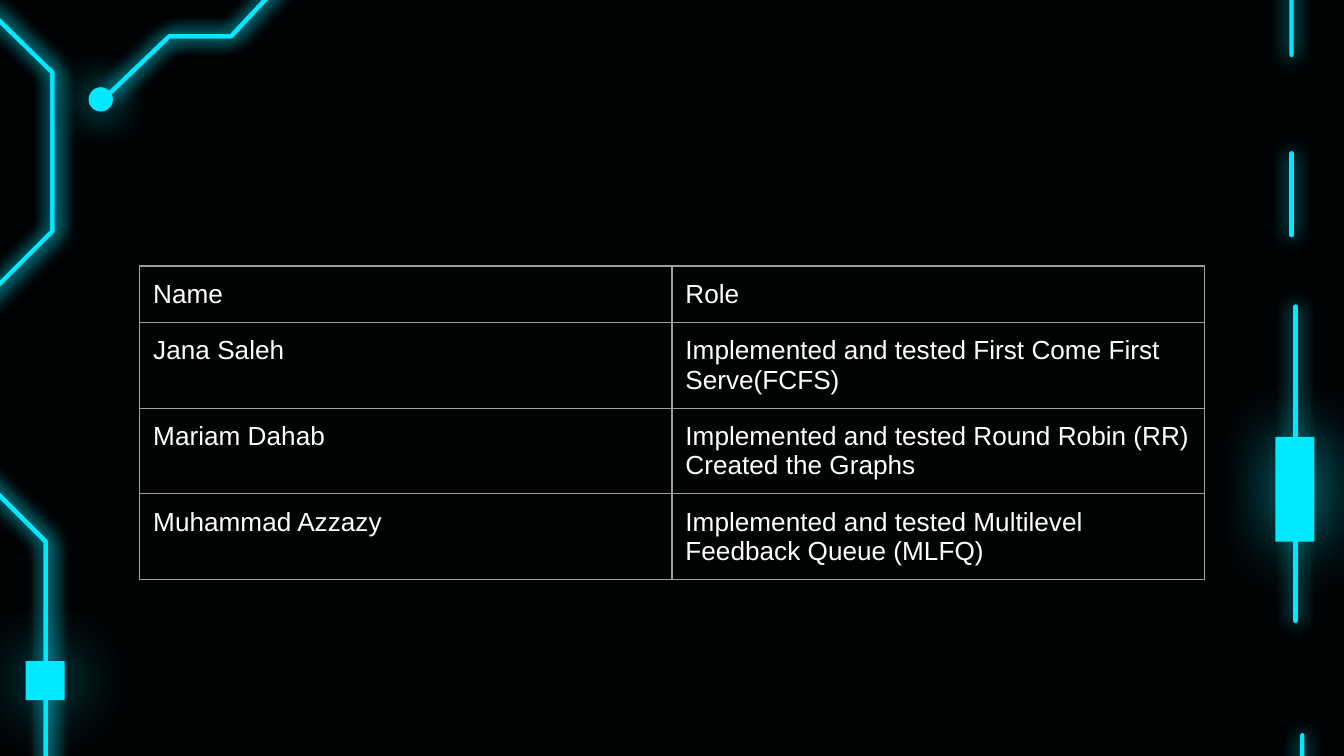
"""Build a dark slide with neon circuit lines and a table of team roles."""
from dataclasses import dataclass

from lxml import etree
from pptx import Presentation
from pptx.dml.color import RGBColor
from pptx.enum.shapes import MSO_CONNECTOR, MSO_SHAPE
from pptx.oxml import parse_xml
from pptx.oxml.ns import nsdecls, qn
from pptx.util import Inches, Pt

RECTANGLE = MSO_SHAPE.RECTANGLE
OVAL = MSO_SHAPE.OVAL
STRAIGHT = MSO_CONNECTOR.STRAIGHT


@dataclass(frozen=True)
class Theme:
    background: str = "000304"
    neon: str = "00E9FF"
    text: str = "FFFFFF"
    border: str = "9E9E9E"
    font: str = "Arial"
    text_size: float = 14
    trace_width: float = 2.25
    dot_width: float = 1.5
    border_width: float = 0.75


THEME = Theme()
NEON = RGBColor.from_string(THEME.neon)


def add_glow(shape, blur, distance=0, opacity=100):
    shape._element.spPr.append(parse_xml(
        f'<a:effectLst {nsdecls("a")}><a:outerShdw blurRad="{Pt(blur)}" '
        f'dist="{Pt(distance)}" dir="0" algn="bl" rotWithShape="0">'
        f'<a:srgbClr val="{THEME.neon}"><a:alpha val="{opacity * 1000}"/></a:srgbClr>'
        '</a:outerShdw></a:effectLst>'))


def style_trace(shape, distance=0):
    shape.line.color.rgb = NEON
    shape.line.width = Pt(THEME.trace_width)
    line = shape.line._get_or_add_ln()
    line.set("cap", "rnd")
    etree.SubElement(line, qn("a:round"))
    add_glow(shape, 10.1, distance)


presentation = Presentation()
presentation.slide_width = Inches(10)
presentation.slide_height = Inches(10 * 9 / 16)
slide = presentation.slides.add_slide(presentation.slide_layouts[6])
slide.background.fill.solid()
slide.background.fill.fore_color.rgb = RGBColor.from_string(THEME.background)

right_upper = [
    (9.61, 0.41), (9.61, -0.2), (9.97, -0.57), (9.97, -1.06), (9.55, -1.49),
    (9.55, -2.15), (10.51, -2.15), (10.84, -1.82), (11.81, -1.82), (12.13, -2.14),
    (13.42, -2.14), (13.42, 3.29), (13.11, 3.59), (13.11, 4.8), (13.41, 5.09),
    (13.41, 6.75)]
right_lower = [
    (10.1, 11.01), (9.63, 10.54), (9.63, 8.34), (10.03, 7.95), (10.03, 7.15),
    (9.69, 6.82), (9.69, 5.47)]
left_side = [
    (-3.49, 2.79), (-3.49, 3.41), (-3.11, 3.79), (-3.11, 4.82), (-3.49, 5.2),
    (-3.49, 12.34), (-1.04, 12.34), (0.34, 10.99), (0.34, 4.03), (-0.24, 3.45),
    (-0.24, 2.35), (0.39, 1.72), (0.39, 0.54), (-0.05, 0.11), (-0.45, 0.11),
    (-0.69, 0.35), (-1.2, 0.35), (-1.48, 0.07), (-1.82, 0.07)]
top_left = [
    (2.72, -1.24), (2.08, -0.61), (2.14, -0.18), (1.72, 0.27), (1.26, 0.27),
    (0.81, 0.7)]

traces = [(right_upper, 0), (right_lower, 0), (left_side, 1.5), (left_side, 0),
          (top_left, 1.5), (top_left, 0)]
for points, glow_distance in traces:
    corners = [(Inches(x), Inches(y)) for x, y in points]
    builder = slide.shapes.build_freeform(*corners[0])
    builder.add_line_segments(corners[1:], close=False)
    trace = builder.convert_to_shape()
    trace.fill.background()
    style_trace(trace, glow_distance)

for x, top, bottom in [(9.64, 2.28, 4.62), (9.61, 1.14, 1.75)]:
    dash = slide.shapes.add_connector(
        STRAIGHT, Inches(x), Inches(top), Inches(x), Inches(bottom))
    style_trace(dash)

for left, top, width, height in [(9.49, 3.25, 0.29, 0.78), (0.19, 4.92, 0.29, 0.29)]:
    node = slide.shapes.add_shape(
        RECTANGLE, Inches(left), Inches(top), Inches(width), Inches(height))
    node.fill.solid()
    node.fill.fore_color.rgb = NEON
    node.line.fill.background()
    add_glow(node, 36, 1.5, 70)

dot = slide.shapes.add_shape(OVAL, Inches(0.67), Inches(0.66), Inches(0.16), Inches(0.16))
dot.fill.solid()
dot.fill.fore_color.rgb = NEON
dot.line.color.rgb = NEON
dot.line.width = Pt(THEME.dot_width)
add_glow(dot, 22.5)

roles = [
    ("Name", "Role"),
    ("Jana Saleh", "Implemented and tested First Come First Serve(FCFS)"),
    ("Mariam Dahab", "Implemented and tested Round Robin (RR)\nCreated the Graphs"),
    ("Muhammad Azzazy", "Implemented and tested Multilevel Feedback Queue (MLFQ)")]
row_height = 0.42
table = slide.shapes.add_table(
    len(roles), 2, Inches(1.04), Inches(1.98),
    Inches(2 * 3.96), Inches(len(roles) * row_height)).table
table.first_row = False
table.horz_banding = False
for row_index, row in enumerate(roles):
    table.rows[row_index].height = Inches(row_height)
    for column_index, text in enumerate(row):
        cell = table.cell(row_index, column_index)
        cell.margin_left = cell.margin_right = Inches(0.1)
        cell.margin_top = cell.margin_bottom = Inches(0.1)
        properties = cell._tc.get_or_add_tcPr()
        for side in ("lnL", "lnR", "lnT", "lnB"):
            properties.append(parse_xml(
                f'<a:{side} {nsdecls("a")} w="{Pt(THEME.border_width)}"><a:solidFill>'
                f'<a:srgbClr val="{THEME.border}"/></a:solidFill></a:{side}>'))
        cell.fill.background()
        cell.text_frame.text = text
        for paragraph in cell.text_frame.paragraphs:
            font = paragraph.runs[0].font
            font.name = THEME.font
            font.size = Pt(THEME.text_size)
            font.color.rgb = RGBColor.from_string(THEME.text)

presentation.save("out.pptx")
